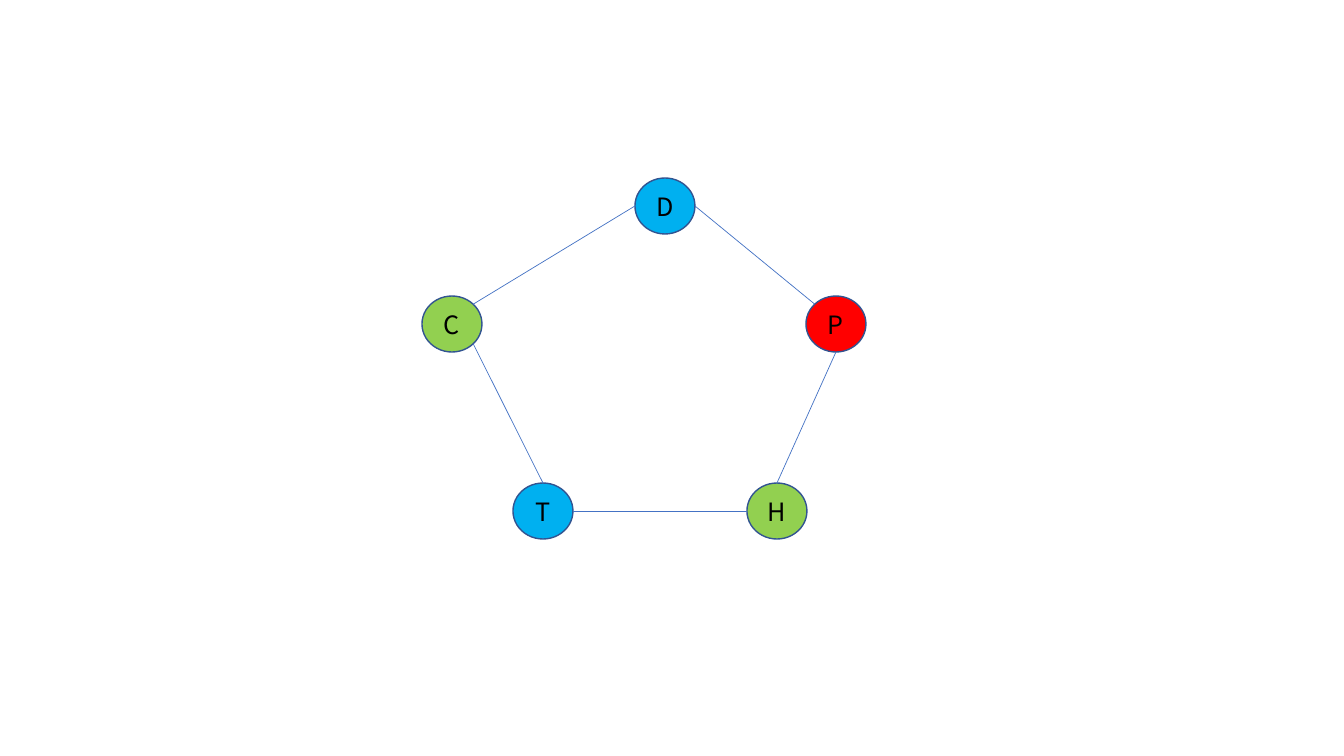
from math import hypot

from pptx import Presentation
from pptx.dml.color import RGBColor
from pptx.enum.shapes import MSO_CONNECTOR as CONNECTOR, MSO_SHAPE as SHAPE
from pptx.enum.text import MSO_ANCHOR as ANCHOR, PP_ALIGN as ALIGN
from pptx.oxml.ns import qn
from pptx.util import Pt
from lxml.etree import SubElement

SLIDE_W, SLIDE_H = 1344, 756
SCALE = 12192000 / SLIDE_W
RADIUS_X, RADIUS_Y = 30, 28
COLORS = {"blue": "00B0F0", "red": "FF0000", "green": "92D050",
          "outline": "325491", "edge": "4472C4", "text": "000000"}


def px(length):
    return round(length * SCALE)


def color(name):
    return RGBColor.from_string(COLORS[name])


prs = Presentation()
prs.slide_width, prs.slide_height = px(SLIDE_W), px(SLIDE_H)
slide = prs.slides.add_slide(prs.slide_layouts[6])

# Graph nodes: centre and fill
nodes = {
    "D": (665, 206, "blue"),
    "P": (836, 324, "red"),
    "H": (777, 511, "green"),
    "T": (543, 511, "blue"),
    "C": (452, 324, "green"),
}
for letter, (x, y, fill) in nodes.items():
    node = slide.shapes.add_shape(SHAPE.OVAL, px(x - RADIUS_X), px(y - RADIUS_Y),
                                  px(2 * RADIUS_X), px(2 * RADIUS_Y))
    node.shadow.inherit = False
    node.fill.solid()
    node.fill.fore_color.rgb = color(fill)
    node.line.color.rgb = color("outline")
    node.line.width = Pt(1)
    frame = node.text_frame
    frame.margin_left = frame.margin_right = 0
    frame.margin_top = frame.margin_bottom = 0
    frame.vertical_anchor = ANCHOR.MIDDLE
    label = frame.paragraphs[0]
    label.text = letter
    label.alignment = ALIGN.CENTER
    label.font.name = "Noto Sans CJK SC"
    label.font.size = Pt(18)
    label.font.color.rgb = color("text")

# Graph edges: each end is a node and the direction in which the edge leaves it
edges = [
    (("D", 1, 0), ("P", -1, -1)),
    (("P", 0, 1), ("H", 0, -1)),
    (("H", -1, 0), ("T", 1, 0)),
    (("D", -1, 0), ("C", 1, -1)),
    (("C", 1, 1), ("T", 0, -1)),
]
for ends in edges:
    points = []
    for letter, dx, dy in ends:
        x, y, _ = nodes[letter]
        reach = hypot(dx, dy)
        points += [px(x + RADIUS_X * dx / reach), px(y + RADIUS_Y * dy / reach)]
    edge = slide.shapes.add_connector(CONNECTOR.STRAIGHT, *points)
    edge.line.color.rgb = color("edge")
    edge.line.width = Pt(0.5)
    SubElement(edge._element.spPr, qn("a:effectLst"))

prs.save("out.pptx")
